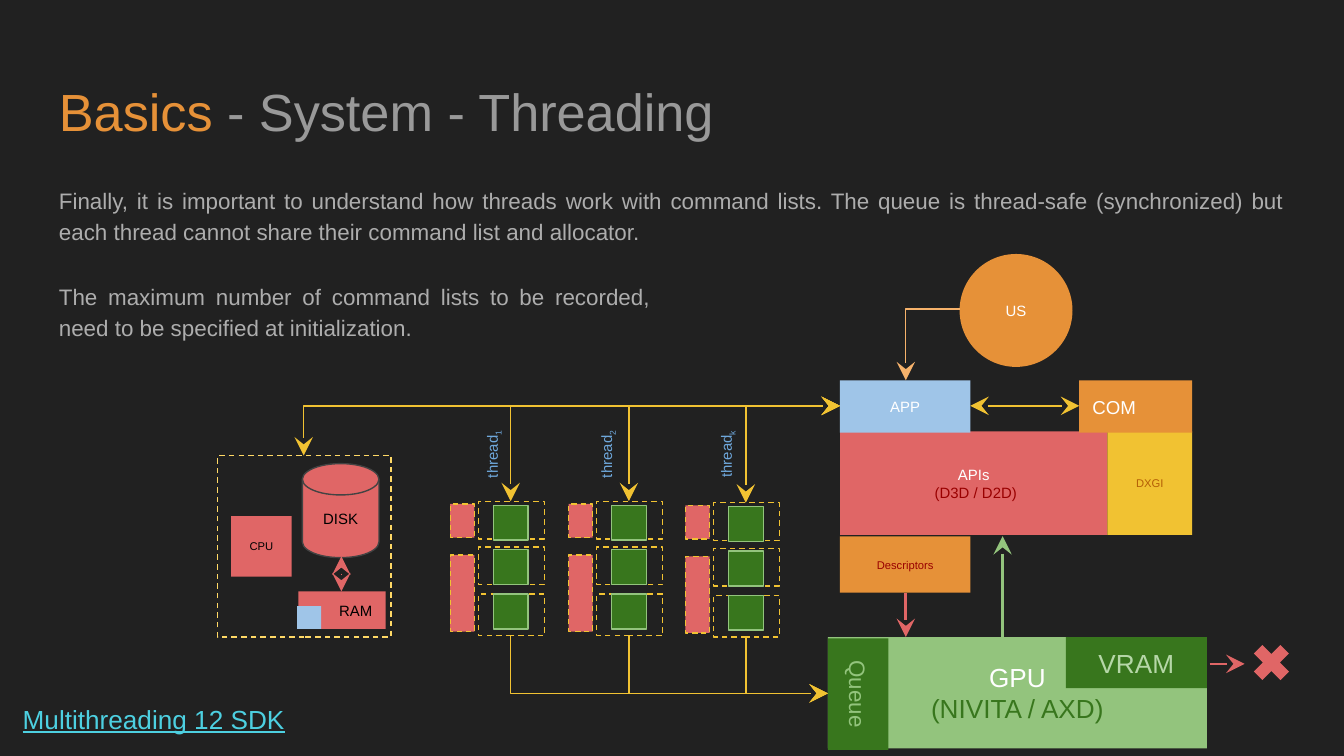
from pptx import Presentation
from pptx.dml.color import RGBColor
from pptx.enum.dml import MSO_LINE
from pptx.enum.shapes import MSO_CONNECTOR, MSO_SHAPE
from pptx.enum.text import MSO_ANCHOR, PP_ALIGN
from pptx.oxml.ns import qn
from pptx.util import Inches, Pt
from lxml import etree

RECT = MSO_SHAPE.RECTANGLE
OVAL = MSO_SHAPE.OVAL
DISK = MSO_SHAPE.FLOWCHART_MAGNETIC_DISK
CROSS = MSO_SHAPE.MATH_MULTIPLY
STRAIGHT, ELBOW = MSO_CONNECTOR.STRAIGHT, MSO_CONNECTOR.ELBOW
DASH = MSO_LINE.DASH
TOP, MIDDLE = MSO_ANCHOR.TOP, MSO_ANCHOR.MIDDLE
LEFT, CENTER, RIGHT, JUSTIFY = PP_ALIGN.LEFT, PP_ALIGN.CENTER, PP_ALIGN.RIGHT, PP_ALIGN.JUSTIFY

COLORS = {
    "background": "212121", "white": "FFFFFF", "black": "000000",
    "title": "999999", "body": "ADADAD", "link": "4DD0E1",
    "orange": "E69138", "peach": "F6B26B", "brown": "B45F06",
    "yellow": "F1C232", "pale_yellow": "FFD966", "outline": "434343",
    "red": "E06666", "dark_red": "990000",
    "blue": "9FC5E8", "thread": "6FA8DC",
    "green": "93C47D", "dark_green": "38761D", "pale_green": "B6D7A8",
}


def color(name):
    return RGBColor.from_string(COLORS[name])


def write_text(frame, paragraphs, size=8, align=CENTER, anchor=MIDDLE,
               line_spacing=None, underline=None):
    frame.word_wrap = True
    frame.vertical_anchor = anchor
    frame.margin_left = frame.margin_right = Inches(0.1)
    frame.margin_top = frame.margin_bottom = Inches(0.1)
    for index, runs in enumerate(paragraphs):
        paragraph = frame.add_paragraph() if index else frame.paragraphs[0]
        paragraph.alignment = align
        if line_spacing:
            paragraph.line_spacing = line_spacing
        for text, tint, *baseline in runs:
            run = paragraph.add_run()
            run.text = text
            run.font.name = "Arial"
            run.font.size = Pt(size)
            run.font.color.rgb = color(tint)
            run.font.underline = underline
            if baseline:
                run.font._element.set("baseline", str(baseline[0]))


class Diagram:
    def __init__(self, slide):
        self.slide = slide
        fill = slide.background.fill
        fill.solid()
        fill.fore_color.rgb = color("background")

    def block(self, box, fill=None, line=None, dash=None, text=None,
              kind=RECT, rotation=0, **text_format):
        shape = self.slide.shapes.add_shape(kind, *map(Inches, box))
        shape.shadow.inherit = False
        shape.rotation = rotation
        if fill:
            shape.fill.solid()
            shape.fill.fore_color.rgb = color(fill)
        else:
            shape.fill.background()
        if line:
            shape.line.color.rgb = color(line)
            shape.line.width = Pt(0.75)
            shape.line.dash_style = dash
        else:
            shape.line.fill.background()
        if text:
            write_text(shape.text_frame, text, **text_format)
        return shape

    def label(self, box, text, rotation=0, **text_format):
        label = self.slide.shapes.add_textbox(*map(Inches, box))
        label.rotation = rotation
        write_text(label.text_frame, text, **text_format)

    def arrow(self, start, end, tint="yellow", width=0.75, head=False, tail=True):
        bent = start[0] != end[0] and start[1] != end[1]
        arrow = self.slide.shapes.add_connector(
            ELBOW if bent else STRAIGHT, *map(Inches, start + end))
        arrow.line.color.rgb = color(tint)
        arrow.line.width = Pt(width)
        properties = arrow._element.spPr
        if bent:
            properties.find(qn("a:prstGeom")).set("prst", "bentConnector2")
        for tag, shown in (("a:headEnd", head), ("a:tailEnd", tail)):
            if shown:
                etree.SubElement(properties.find(qn("a:ln")), qn(tag),
                                 type="stealth", w="lg", len="lg")
        etree.SubElement(properties, qn("a:effectLst"))


prs = Presentation()
prs.slide_width = Inches(10)
prs.slide_height = prs.slide_width * 9 // 16
diagram = Diagram(prs.slides.add_slide(prs.slide_layouts[6]))

diagram.label((0.34, 0.49, 9.32, 0.63),
              [[("Basics ", "orange"), ("- System - Threading", "title")]],
              size=28, align=LEFT, anchor=TOP)
paragraph_format = dict(size=12, align=JUSTIFY, anchor=TOP, line_spacing=1.15)
diagram.label((0.34, 1.26, 9.32, 0.63), [[(
    "Finally, it is important to understand how threads work with command lists. "
    "The queue is thread-safe (synchronized) but each thread cannot share their "
    "command list and allocator.", "body")]], **paragraph_format)
diagram.label((0.34, 1.98, 4.6, 0.59), [[(
    "The maximum number of command lists to be recorded, need to be specified "
    "at initialization.", "body")]], **paragraph_format)
diagram.label((0.07, 5.13, 2.15, 0.45), [[("Multithreading 12 SDK", "link")]],
              size=14, align=LEFT, anchor=TOP, underline=True)

diagram.block((1.62, 3.39, 1.29, 1.35), line="pale_yellow", dash=DASH)
diagram.block((1.72, 3.84, 0.45, 0.45), "red", text=[[("CPU", "black")]], size=6)
diagram.block((2.25, 3.45, 0.57, 0.7), "red", "outline", kind=DISK,
              text=[[("DISK", "black")]])
diagram.block((2.22, 4.4, 0.65, 0.28), "red", text=[[("RAM", "black")]], align=RIGHT)
diagram.block((2.21, 4.51, 0.18, 0.17), "blue")
diagram.arrow((2.54, 4.14), (2.54, 4.4), "red", head=True)

diagram.block((7.14, 1.89, 0.84, 0.84), "orange", kind=OVAL, text=[[("US", "white")]])
diagram.block((6.25, 3.21, 1.99, 0.77), "red",
              text=[[("APIs", "white")], [(" ", "white"), ("(D3D / D2D)", "dark_red")]])
diagram.block((6.25, 2.83, 0.97, 0.39), "blue", text=[[("APP", "white")]])
diagram.block((6.25, 3.99, 0.97, 0.42), "orange",
              text=[[("Descriptors", "dark_red")]], size=6)
diagram.block((8.24, 3.21, 0.63, 0.77), "yellow", text=[[("DXGI", "brown")]], size=6)
diagram.block((8.03, 2.83, 0.84, 0.39), "orange", text=[[("COM", "white")]],
              size=10, align=LEFT)
diagram.arrow((7.14, 2.3), (6.74, 2.83), "peach")
diagram.arrow((7.22, 3.02), (8.03, 3.02), head=True)
diagram.arrow((6.74, 4.41), (6.74, 4.74), "red", 1.5)
diagram.arrow((7.46, 3.99), (7.46, 4.76), "green", 1.5, head=True, tail=False)

diagram.block((6.16, 4.74, 2.82, 0.83), "green", size=14,
              text=[[("GPU", "white")], [("(NIVITA / AXD)", "dark_green")]])
diagram.block((7.93, 4.74, 1.05, 0.38), "dark_green",
              text=[[("VRAM", "pale_green")]], size=14)
diagram.block((5.97, 4.94, 0.83, 0.45), "dark_green", rotation=90,
              text=[[("Queue", "green")]], size=12)
diagram.block((9.27, 4.74, 0.38, 0.38), "red", kind=CROSS).adjustments[0] = 0.235
diagram.arrow((9, 4.94), (9.26, 4.94), "red")

app_port, queue_port = (6.25, 3.02), (6.16, 5.16)
diagram.arrow(app_port, (2.26, 3.39), head=True)

threads = [("1", 3.8, 3.73, 3.25), ("2", 4.68, 3.73, 4.1), ("k", 5.55, 3.74, 4.99)]
for subscript, center, top, label_left in threads:
    for offset, height in ((0.69, 0.31), (0.34, 0.28), (0, 0.28)):
        diagram.block((center - 0.24, top + offset, 0.49, height),
                      line="yellow", dash=DASH)
    for row in range(3):
        diagram.block((center - 0.13, top + 0.03 + 0.33 * row, 0.26, 0.26),
                      "dark_green", "green")
    for offset, height in ((0.4, 0.57), (0.02, 0.25)):
        diagram.block((center - 0.45, top + offset, 0.18, height),
                      "red", "yellow", DASH)
    diagram.arrow(app_port, (center, top), head=True)
    diagram.arrow(queue_port, (center, top + 1), head=True, tail=False)
    diagram.label((label_left, 3.25, 0.84, 0.26), rotation=270,
                  text=[[("thread", "thread"), (subscript, "thread", -25000)]])

prs.save("out.pptx")
